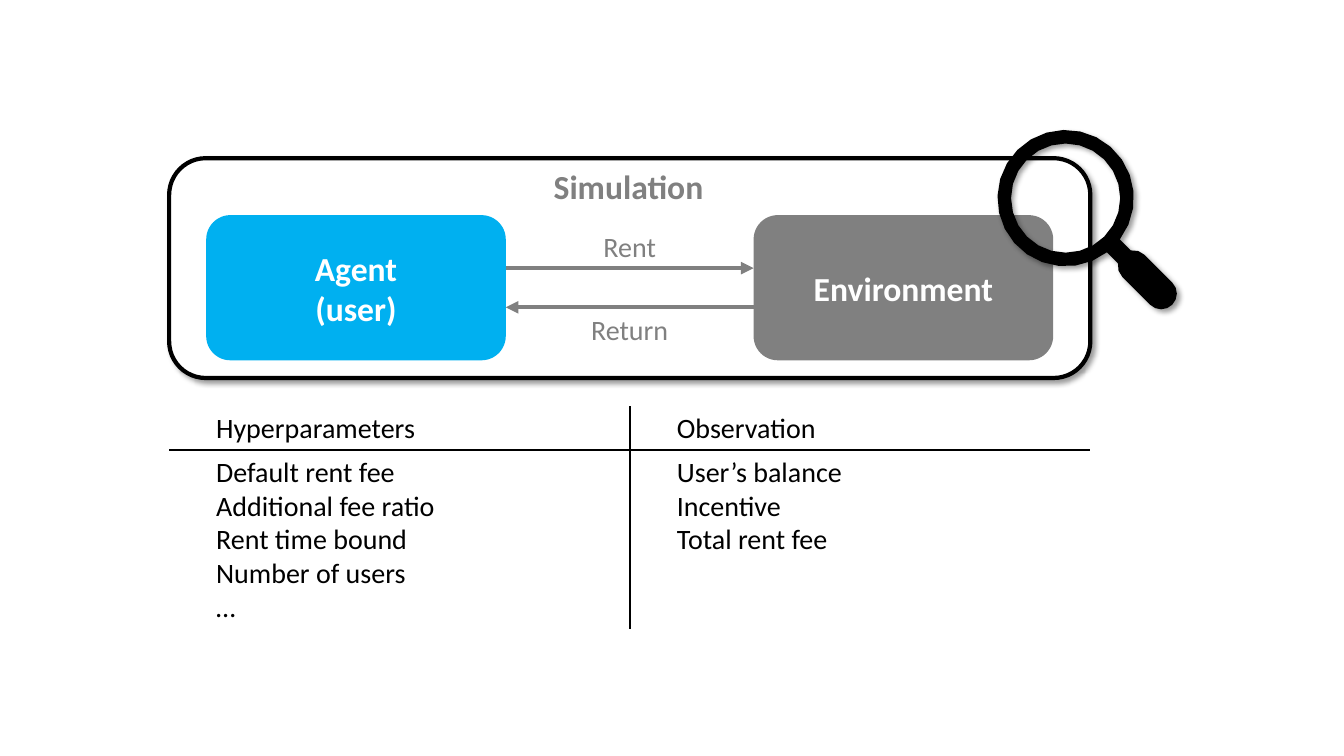
from math import asin, cos, degrees, radians, sin

from lxml import etree
from pptx import Presentation
from pptx.dml.color import RGBColor
from pptx.enum.shapes import MSO_CONNECTOR, MSO_SHAPE
from pptx.enum.text import MSO_ANCHOR, MSO_AUTO_SIZE, PP_ALIGN
from pptx.oxml import parse_xml
from pptx.oxml.ns import nsdecls, qn
from pptx.util import Pt

ROUNDED = MSO_SHAPE.ROUNDED_RECTANGLE
STRAIGHT = MSO_CONNECTOR.STRAIGHT
TOP, MIDDLE, BOTTOM = MSO_ANCHOR.TOP, MSO_ANCHOR.MIDDLE, MSO_ANCHOR.BOTTOM
LEFT, CENTER = PP_ALIGN.LEFT, PP_ALIGN.CENTER
FIT_SHAPE = MSO_AUTO_SIZE.SHAPE_TO_FIT_TEXT

COLORS = {"black": "000000", "white": "FFFFFF", "blue": "00B0F0", "gray": "808080"}
SHADOW = (
    f'<a:outerShdw {nsdecls("a")} blurRad="50800" dist="38100" dir="2700000" '
    'algn="tl" rotWithShape="0"><a:srgbClr val="000000"><a:alpha val="40000"/>'
    "</a:srgbClr></a:outerShdw>"
)


def arc(center, radius, start, stop, steps):
    """Return points of an arc whose center lies on the horizontal axis."""
    angles = [radians(start + (stop - start) * i / steps) for i in range(steps + 1)]
    return [(center + radius * cos(a), radius * sin(a)) for a in angles]


class Diagram:
    """Draw styled elements on one slide, with lengths in points."""

    def __init__(self, slide, font="Calibri"):
        self.shapes = slide.shapes
        self.font = font

    def color(self, name):
        """Return the named colour."""
        return RGBColor.from_string(COLORS[name])

    def paint(self, sp, fill, line=None, shadow=False):
        """Set the fill, outline and shadow of a shape."""
        sp.fill.solid()
        sp.fill.fore_color.rgb = self.color(fill)
        if line:
            sp.line.color.rgb = self.color(line)
            sp.line.width = Pt(3)
        else:
            sp.line.fill.background()
        sp.shadow.inherit = False
        if shadow:
            effects = sp._element.spPr.find(qn("a:effectLst"))
            effects.append(parse_xml(SHADOW))

    def run(self, p, text, size, color, bold=False):
        """Add one formatted run to a paragraph."""
        r = p.add_run()
        r.text = text
        r.font.name = self.font
        r.font.size = Pt(size)
        r.font.bold = bold
        r.font.color.rgb = self.color(color)

    def box(self, x, y, w, h, fill, line=None, shadow=False, lines=()):
        """Add a rounded box with an optional centred bold label."""
        sp = self.shapes.add_shape(ROUNDED, Pt(x), Pt(y), Pt(w), Pt(h))
        self.paint(sp, fill, line, shadow)
        tf = sp.text_frame
        tf.vertical_anchor = MIDDLE
        p = tf.paragraphs[0]
        p.alignment = CENTER
        for i, text in enumerate(lines):
            if i:
                p.add_line_break()
            self.run(p, text, 24, "white", True)

    def text(self, x, y, w, h, lines, size=20, color="black", bold=False,
             align=LEFT, anchor=TOP):
        """Add an unwrapped text box with one paragraph per line."""
        tf = self.shapes.add_textbox(Pt(x), Pt(y), Pt(w), Pt(h)).text_frame
        tf.word_wrap = False
        tf.auto_size = FIT_SHAPE
        tf.vertical_anchor = anchor
        for i, text in enumerate(lines):
            p = tf.add_paragraph() if i else tf.paragraphs[0]
            p.alignment = align
            self.run(p, text, size, color, bold)

    def line(self, x1, y1, x2, y2, color="black", width=1.5, arrow=False):
        """Add a straight line, with an arrowhead at its end if asked."""
        cxn = self.shapes.add_connector(STRAIGHT, Pt(x1), Pt(y1), Pt(x2), Pt(y2))
        cxn.line.color.rgb = self.color(color)
        cxn.line.width = Pt(width)
        if arrow:
            ln = cxn.line._get_or_add_ln()
            etree.SubElement(ln, qn("a:tailEnd"), type="triangle")
        etree.SubElement(cxn._element.spPr, qn("a:effectLst"))

    def magnifier(self, x, y, outer, inner, neck, grip, grip_start, grip_end):
        """Add a magnifier centred on its lens, its handle at 45 degrees."""
        ring_gap = degrees(asin(neck / outer))
        grip_gap = degrees(asin(neck / grip))
        outline = (
            arc(0, outer, ring_gap, 360 - ring_gap, 24)
            + arc(grip_start, grip, 180 + grip_gap, 270, 2)
            + arc(grip_end, grip, 270, 450, 8)
            + arc(grip_start, grip, 90, 180 - grip_gap, 2)
        )
        turn = cos(radians(45))
        lens, hole = [
            [(Pt(x + (u - v) * turn), Pt(y + (u + v) * turn)) for u, v in contour]
            for contour in (outline, arc(0, inner, 360, 0, 24)[:-1])
        ]
        builder = self.shapes.build_freeform(*lens[0], scale=1.0)
        builder.add_line_segments(lens[1:], close=True)
        builder.move_to(*hole[0])
        builder.add_line_segments(hole[1:], close=True)
        self.paint(builder.convert_to_shape(), "black", shadow=True)


def main():
    """Build the simulation slide."""
    prs = Presentation()
    prs.slide_width, prs.slide_height = Pt(960), Pt(540)
    d = Diagram(prs.slides.add_slide(prs.slide_layouts[6]))

    left, right, middle = 120.8, 778.8, 450
    agent_x, env_x, box_w = 147.3, 538.3, 214
    agent_right = agent_x + box_w
    d.box(left, 113, right - left, 157, "white", "black", True)
    d.box(agent_x, 153.7, box_w, 103.7, "blue", lines=["Agent", "(user)"])
    d.box(env_x, 153.7, box_w, 103.7, "gray", lines=["Environment"])

    d.line(agent_right, 191.5, env_x, 191.5, "gray", 3, True)
    d.line(env_x, 219.5, agent_right, 219.5, "gray", 3, True)
    d.text(423.5, 160, 52.5, 31.5, ["Rent"], color="gray", align=CENTER, anchor=BOTTOM)
    d.text(414.5, 219.5, 70.5, 31.5, ["Return"], color="gray", align=CENTER)
    d.text(388.4, 114.9, 122.5, 36, ["Simulation"], 24, "gray", True, anchor=MIDDLE)
    d.magnifier(761.2, 141.5, 48.7, 39, 6.5, 11.2, 68.5, 96.5)

    rule_y = 321.3
    d.line(left, rule_y, right, rule_y)
    d.line(middle, 290.3, middle, 449.2)
    columns = [
        (476.4, "Observation", 114.5, 134,
         ["User’s balance", "Incentive", "Total rent fee"]),
        (agent_x, "Hyperparameters", 158.5, 173,
         ["Default rent fee", "Additional fee ratio", "Rent time bound",
          "Number of users", "…"]),
    ]
    for x, head, head_w, items_w, items in columns:
        d.text(x, rule_y, items_w, 8 + 24 * len(items), items)
        d.text(x, rule_y - 31.7, head_w, 31.5, [head])

    prs.save("out.pptx")


if __name__ == "__main__":
    main()
